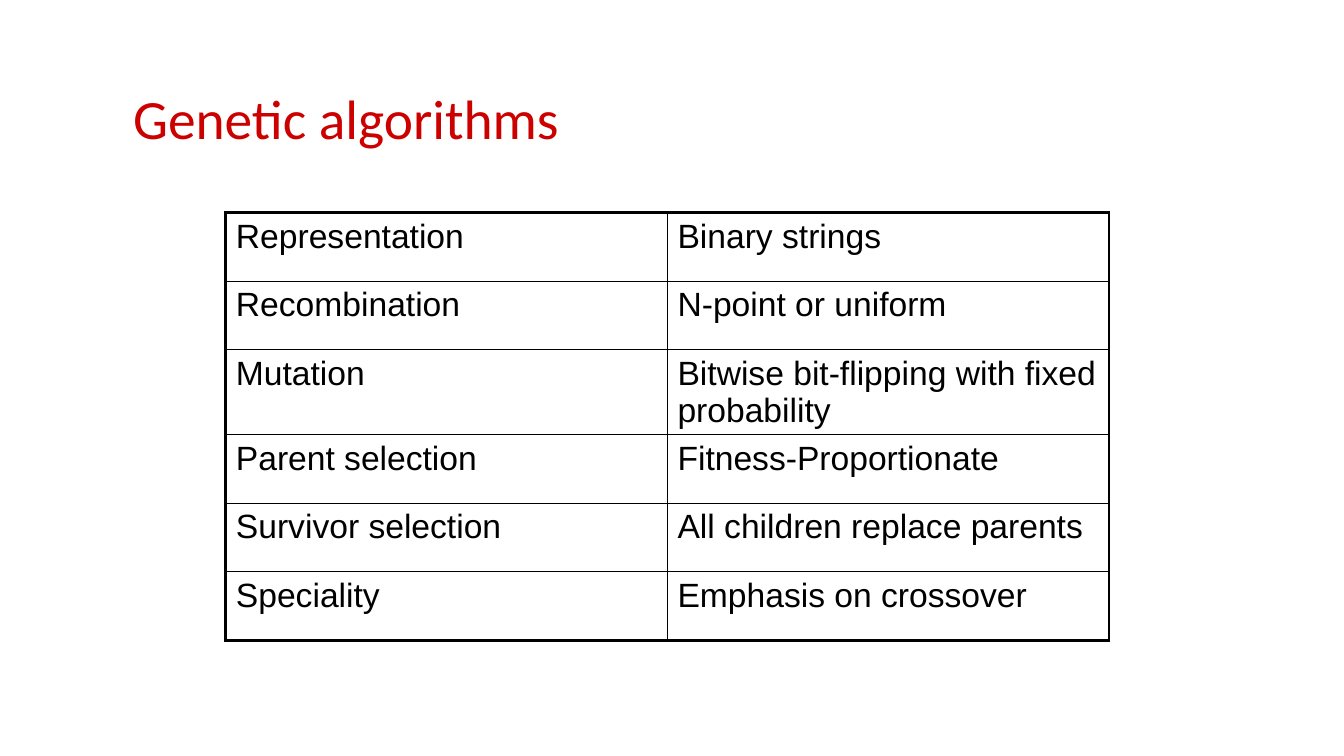
from dataclasses import dataclass
from lxml import etree
from pptx import Presentation
from pptx import util as u
from pptx.dml.color import RGBColor
from pptx.enum import text
from pptx.oxml import ns

TITLE = "Genetic algorithms"
ROWS = [
    ("Representation", "Binary strings"),
    ("Recombination", "N-point or uniform"),
    ("Mutation", "Bitwise bit-flipping with fixed probability"),
    ("Parent selection", "Fitness-Proportionate"),
    ("Survivor selection", "All children replace parents"),
    ("Speciality", "Emphasis on crossover"),
]
WIDE, HIGH = 13.33, 7.5
HEAD = (1.22, 0.83, 11.67, 0.75)
LEFT, TOP, COL, ROW = 2.24, 2.11, 4.38, 0.68


@dataclass(frozen=True)
class Theme:
    red: str = "CD0000"
    ink: str = "000000"
    head: str = "Calibri"
    body: str = "Arial"
    big: float = 39.6
    size: float = 24
    thick: float = 2.25
    thin: float = 1


theme = Theme()


def style(para, face, size, color):
    para.font.name = face
    para.font.size = u.Pt(size)
    para.font.color.rgb = RGBColor.from_string(color)


def border(cell, sides):
    props = cell._tc.get_or_add_tcPr()
    for i, (side, outer) in enumerate(sides.items()):
        width = theme.thick if outer else theme.thin
        line = etree.Element(ns.qn("a:ln" + side), w=str(u.Pt(width)))
        fill = etree.SubElement(line, ns.qn("a:solidFill"))
        etree.SubElement(fill, ns.qn("a:srgbClr"), val=theme.ink)
        props.insert(i, line)


def main():
    deck = Presentation()
    deck.slide_width, deck.slide_height = u.Inches(WIDE), u.Inches(HIGH)
    slide = deck.slides.add_slide(deck.slide_layouts[5])

    title = slide.shapes.title
    title.left, title.top, title.width, title.height = map(u.Inches, HEAD)
    title.text_frame.text = TITLE
    title.text_frame.vertical_anchor = text.MSO_ANCHOR.MIDDLE
    para = title.text_frame.paragraphs[0]
    para.alignment = text.PP_ALIGN.LEFT
    para.line_spacing = 0.9
    style(para, theme.head, theme.big, theme.red)

    rows, cols = len(ROWS), len(ROWS[0])
    box = map(u.Inches, (LEFT, TOP, cols * COL, rows * ROW))
    table = slide.shapes.add_table(rows, cols, *box).table
    table.first_row = table.horz_banding = False
    for r, row in enumerate(ROWS):
        for c, words in enumerate(row):
            cell = table.cell(r, c)
            cell.text = words
            cell.fill.background()
            style(cell.text_frame.paragraphs[0], theme.body, theme.size, theme.ink)
            border(cell, {"L": c == 0, "R": c == cols - 1,
                          "T": r == 0, "B": r == rows - 1})

    deck.save("out.pptx")


if __name__ == "__main__":
    main()
